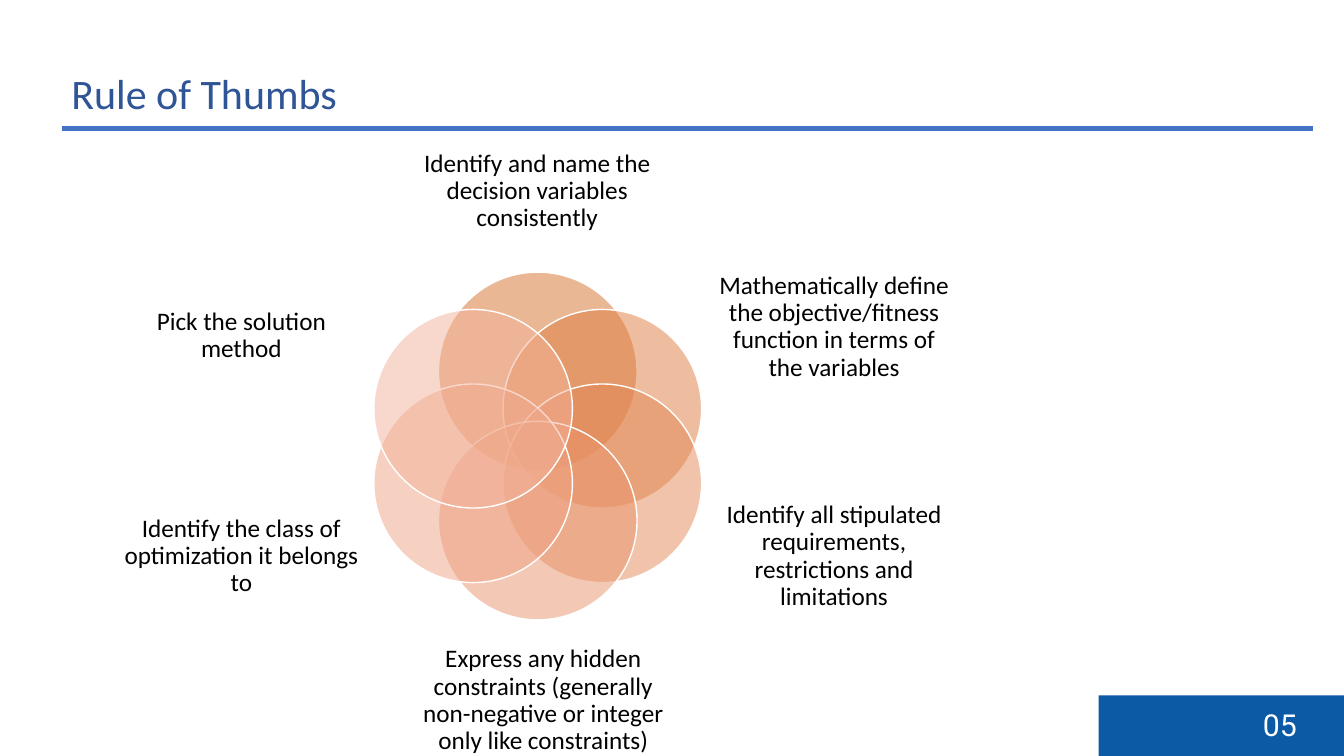
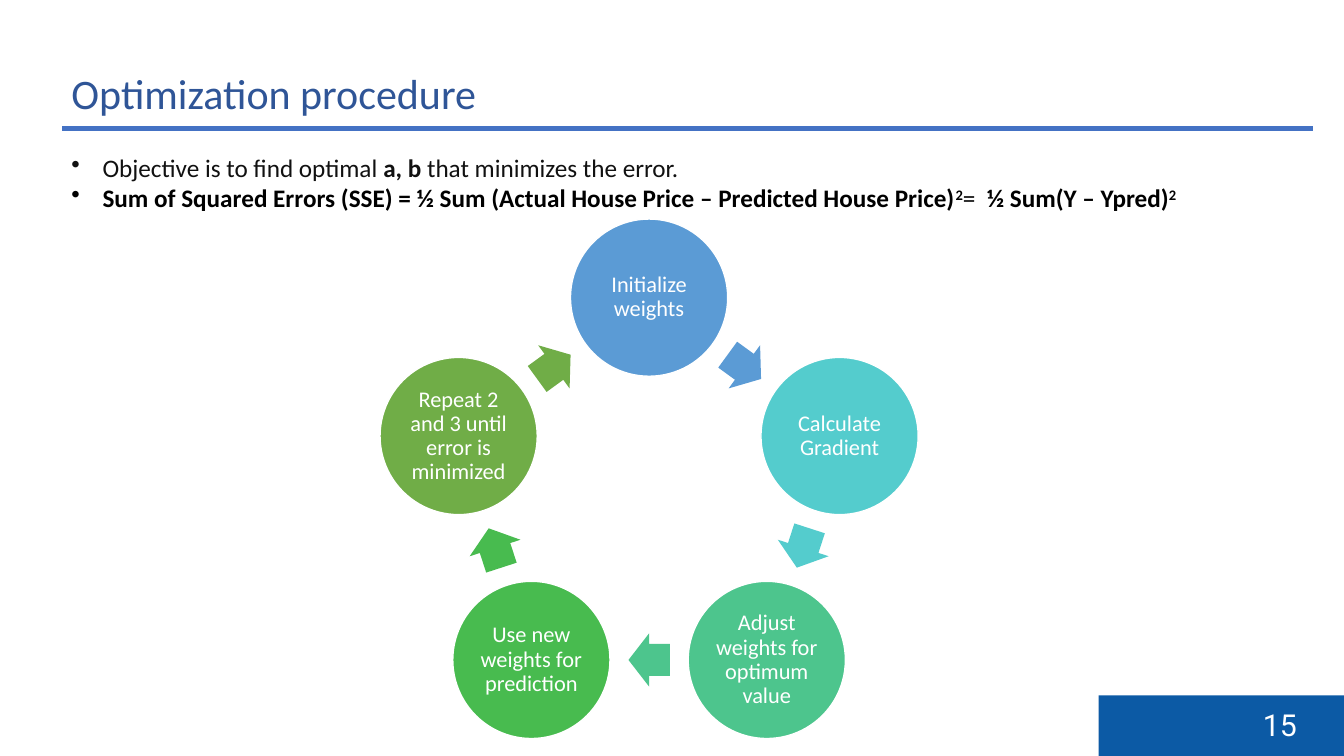
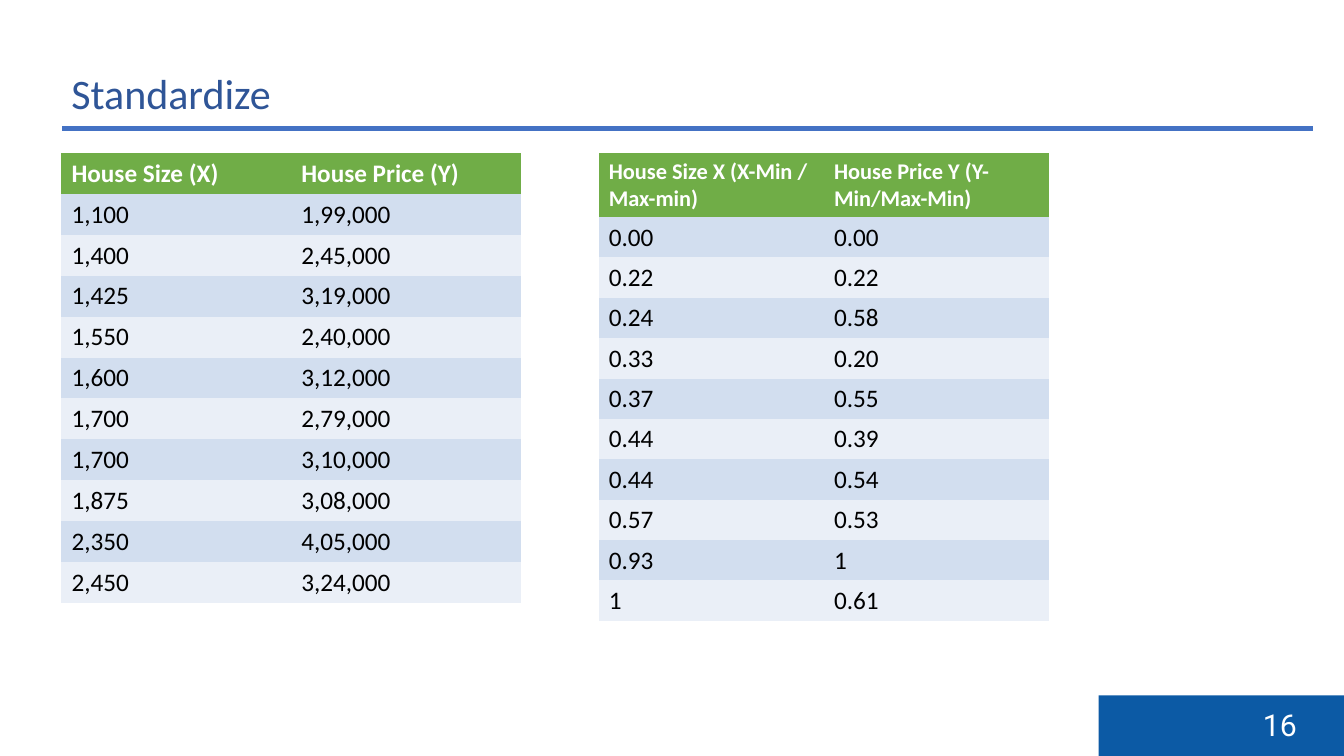
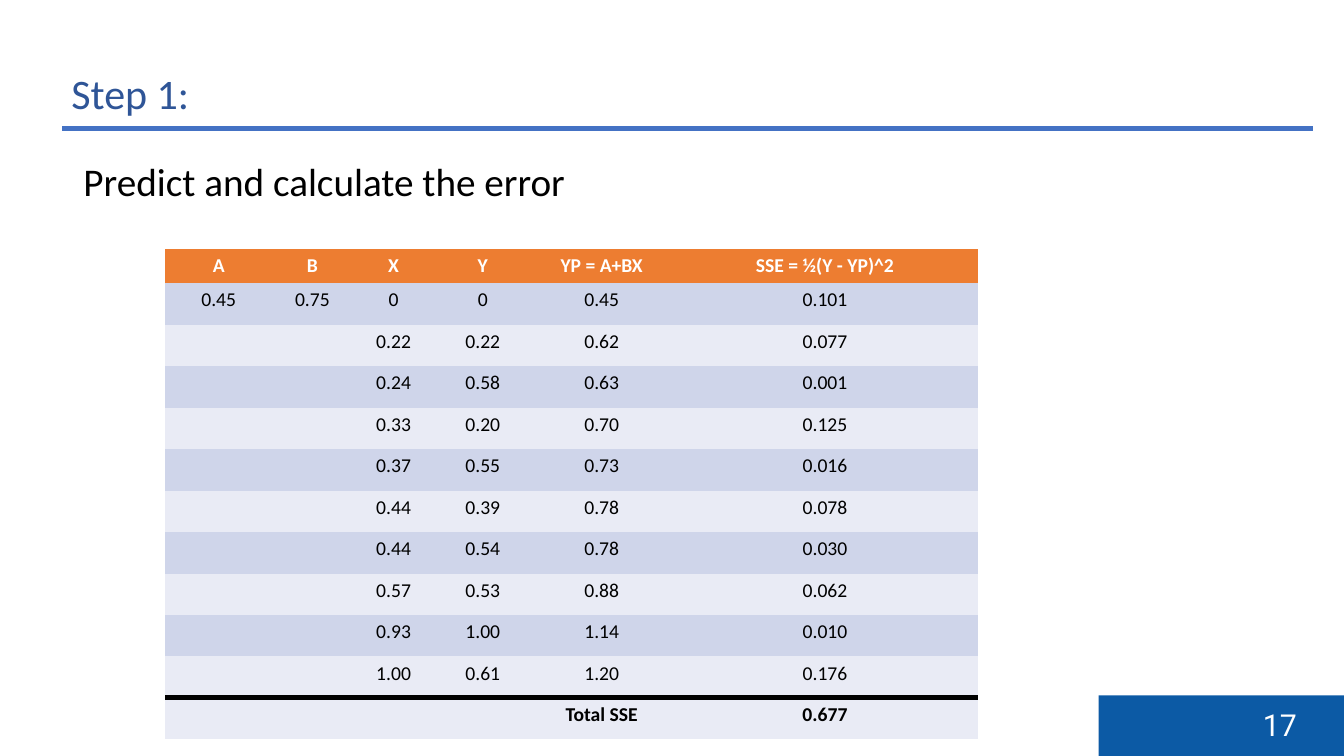
from collections import namedtuple
from math import cos, pi, sin

from lxml.etree import SubElement
from pptx import Presentation
from pptx.dml.color import RGBColor
from pptx.enum.shapes import MSO_SHAPE
from pptx.enum.text import MSO_ANCHOR, MSO_AUTO_SIZE, PP_ALIGN
from pptx.oxml import parse_xml
from pptx.oxml.ns import nsdecls, qn
from pptx.util import Inches, Pt

COLUMNS, ROWS = 160, 90
CELL = Inches(1) // 12
NO_GRID_STYLE = "{2D5ABB26-0587-4C30-8999-92F81FD0307C}"

COLORS = {
    "title": "2F5597", "rule": "4472C4", "band": "0C5AA5",
    "white": "FFFFFF", "black": "000000", "ink": "111111",
    "green": "70AD47", "orange": "ED7D31",
    "sky dark": "D2DEEF", "sky light": "EAEFF7",
    "lilac dark": "CFD5EA", "lilac light": "E9EBF5",
}
PETAL_COLORS = ["D7712C", "DE7C41", "E48857", "E9956D", "EEA384", "F3B39B"]
STAGE_COLORS = ["5B9BD5", "54CCCD", "4DC58D", "48BB4F", "70AD47"]

Box = namedtuple("Box", "left top width height")

RULES_OF_THUMB = [
    ("Identify and name the decision variables consistently",
     Box(34.44, 0, 29.52, 16.08)),
    ("Mathematically define the objective/fitness function in terms of the variables",
     Box(70.56, 15.36, 27.96, 17.64)),
    ("Identify all stipulated requirements, restrictions and limitations",
     Box(70.56, 41.64, 27.96, 19.68)),
    ("Express any hidden constraints (generally non-negative or integer only like constraints)",
     Box(35.16, 62.04, 29.52, 13.2)),
    ("Identify the class of optimization it belongs to",
     Box(0, 41.64, 27.96, 19.68)),
    ("Pick the solution method", Box(0, 15.36, 27.96, 19.68)),
]
STAGES = [
    "Initialize weights", "Calculate Gradient",
    "Adjust weights for optimum value", "Use new weights for prediction",
    "Repeat 2 and 3 until error is minimized",
]
STRONG = {"bold": True, "color": "black"}
RAISED = {**STRONG, "baseline": 30}
OBJECTIVE = [
    [("Objective is to find optimal ", {}), ("a, b", {"bold": True}),
     (" that minimizes the error.", {})],
    [("Sum of Squared Errors (SSE) = ½ Sum (Actual House Price – Predicted House Price)",
      STRONG), ("2", RAISED), ("= ", {"color": "black"}),
     (" ½ Sum(Y – Ypred)", STRONG), ("2", RAISED)],
]
HOUSES = [
    ("House Size (X)", "House Price (Y)"),
    ("1,100", "1,99,000"), ("1,400", "2,45,000"), ("1,425", "3,19,000"),
    ("1,550", "2,40,000"), ("1,600", "3,12,000"), ("1,700", "2,79,000"),
    ("1,700", "3,10,000"), ("1,875", "3,08,000"), ("2,350", "4,05,000"),
    ("2,450", "3,24,000"),
]
SCALED_HOUSES = [
    ("House Size X (X-Min / Max-min)", "House Price Y (Y-Min/Max-Min)"),
    ("0.00", "0.00"), ("0.22", "0.22"), ("0.24", "0.58"), ("0.33", "0.20"),
    ("0.37", "0.55"), ("0.44", "0.39"), ("0.44", "0.54"), ("0.57", "0.53"),
    ("0.93", "1"), ("1", "0.61"),
]
PREDICTIONS = [
    ("A", "B", "X", "Y", "YP = A+BX", "SSE = ½(Y - YP)^2"),
    ("0.45", "0.75", "0", "0", "0.45", "0.101"),
    ("", "", "0.22", "0.22", "0.62", "0.077"),
    ("", "", "0.24", "0.58", "0.63", "0.001"),
    ("", "", "0.33", "0.20", "0.70", "0.125"),
    ("", "", "0.37", "0.55", "0.73", "0.016"),
    ("", "", "0.44", "0.39", "0.78", "0.078"),
    ("", "", "0.44", "0.54", "0.78", "0.030"),
    ("", "", "0.57", "0.53", "0.88", "0.062"),
    ("", "", "0.93", "1.00", "1.14", "0.010"),
    ("", "", "1.00", "0.61", "1.20", "0.176"),
    ("", "", "", "", "Total SSE", "0.677"),
]


def rgb(color):
    """Turn a palette name or a hex string into a colour."""
    return RGBColor.from_string(COLORS.get(color, color))


def emu(box):
    """Turn a box in grid cells into slide lengths."""
    return [round(side * CELL) for side in box]


def centered(x, y, width, height):
    """Return the box of the given size around a centre."""
    return Box(x - width / 2, y - height / 2, width, height)


def orbit(box, radius, turn):
    """Return the point a share of a turn clockwise from the top."""
    return (box.left + box.width / 2 + radius * sin(2 * pi * turn),
            box.top + box.height / 2 - radius * cos(2 * pi * turn))


def write(frame, text, *, size=18, color="black", font="Calibri", bold=False,
          align=PP_ALIGN.LEFT, spacing=None, bullet=None):
    """Fill a text frame with a string or with paragraphs of formatted runs."""
    paragraphs = [[(text, {})]] if isinstance(text, str) else text
    for index, runs in enumerate(paragraphs):
        paragraph = frame.add_paragraph() if index else frame.paragraphs[0]
        if bullet:
            properties = paragraph._p.get_or_add_pPr()
            indent = round(Inches(0.31))
            properties.set("marL", str(indent))
            properties.set("indent", str(-indent))
            SubElement(properties, qn("a:buChar")).set("char", bullet)
        paragraph.alignment = align
        if spacing:
            paragraph.line_spacing = spacing
        for words, own in runs:
            run = paragraph.add_run()
            run.text = words
            run.font.size = Pt(size)
            run.font.name = font
            run.font.bold = own.get("bold", bold)
            run.font.color.rgb = rgb(own.get("color", color))
            if "baseline" in own:
                run._r.get_or_add_rPr().set("baseline", str(own["baseline"] * 1000))


def add_label(slide, box, text, *, wrap=True, inset=None,
              anchor=MSO_ANCHOR.TOP, **style):
    """Add a text box."""
    frame = slide.shapes.add_textbox(*emu(box)).text_frame
    frame.word_wrap = wrap
    frame.vertical_anchor = anchor
    if not wrap:
        frame.auto_size = MSO_AUTO_SIZE.SHAPE_TO_FIT_TEXT
    if inset is not None:
        set_insets(frame, inset)
    write(frame, text, **style)


def set_insets(frame, inset):
    """Give a text frame the same inset on all sides."""
    frame.margin_left = frame.margin_right = Inches(inset)
    frame.margin_top = frame.margin_bottom = Inches(inset)


def add_figure(slide, kind, box, fill, *, outlined=False, opacity=None):
    """Add a flat preset shape, with a thin white outline if asked."""
    figure = slide.shapes.add_shape(kind, *emu(box))
    figure.shadow.inherit = False
    figure.fill.solid()
    figure.fill.fore_color.rgb = rgb(fill)
    if opacity:
        tone = figure._element.spPr.find(qn("a:solidFill"))[0]
        SubElement(tone, qn("a:alpha")).set("val", str(opacity * 1000))
    if outlined:
        figure.line.color.rgb = rgb("white")
        figure.line.width = Pt(1)
    else:
        figure.line.fill.background()
    return figure


def add_page(deck, title, title_width, number):
    """Add a slide with its title, rule and numbered band."""
    slide = deck.slides.add_slide(deck.slide_layouts[6])
    add_figure(slide, MSO_SHAPE.RECTANGLE,
               Box(130.8, 82.8, COLUMNS - 130.8, ROWS - 82.8), "band")
    add_label(slide, Box(149.16, 83.52, 6.48, 5.52), number, wrap=False,
              size=21.6, font="Roboto", color="white")
    add_figure(slide, MSO_SHAPE.RECTANGLE, Box(7.32, 14.88, 149.04, 0.84),
               "rule", outlined=True)
    add_label(slide, Box(7.32, 7.44, title_width, 7.32), title, wrap=False,
              size=30, color="title")
    return slide


def add_petals(slide, box):
    """Draw overlapping circles around the middle of the box, with labels."""
    for index, (rule, place) in enumerate(RULES_OF_THUMB):
        x, y = orbit(box, 8.88, index / len(RULES_OF_THUMB))
        add_figure(slide, MSO_SHAPE.OVAL, centered(x, y, 23.64, 23.64),
                   PETAL_COLORS[index], outlined=True, opacity=50)
        label = place._replace(left=box.left + place.left, top=box.top + place.top)
        add_label(slide, label, rule, inset=0, anchor=MSO_ANCHOR.MIDDLE,
                  align=PP_ALIGN.CENTER, spacing=0.9)


def add_cycle(slide, box):
    """Draw a ring of stages in the box, with an arrow after each stage."""
    diameter = 18.72
    radius = (box.width - diameter) / 2
    step = 1 / len(STAGES)
    for index, (stage, color) in enumerate(zip(STAGES, STAGE_COLORS)):
        x, y = orbit(box, radius, index * step)
        circle = add_figure(slide, MSO_SHAPE.OVAL,
                            centered(x, y, diameter, diameter), color, outlined=True)
        frame = circle.text_frame
        frame.word_wrap = True
        frame.vertical_anchor = MSO_ANCHOR.MIDDLE
        set_insets(frame, 0.02)
        write(frame, stage, size=16, color="white", align=PP_ALIGN.CENTER,
              spacing=0.9)
        halfway = (index + 0.5) * step
        x, y = orbit(box, radius * cos(pi * step), halfway)
        arrow = add_figure(slide, MSO_SHAPE.RIGHT_ARROW,
                           centered(x, y, 4.92, 6.36), color)
        arrow.adjustments[0], arrow.adjustments[1] = 0.6, 0.5
        arrow.rotation = 360 * halfway


def add_grid(slide, left, top, rows, widths, *, head_height, row_height, head,
             bands, size=18, head_size=None, align=PP_ALIGN.LEFT, total=False):
    """Add a banded table, whose last row may be a ruled total."""
    heights = [head_height] + [row_height] * (len(rows) - 1)
    box = Box(left, top, sum(widths), sum(heights))
    table = slide.shapes.add_table(len(rows), len(widths), *emu(box)).table
    table._tbl.tblPr.find(qn("a:tableStyleId")).text = NO_GRID_STYLE
    table.first_row = table.horz_banding = False
    for column, width in zip(table.columns, widths):
        column.width = round(width * CELL)
    for index, (values, height) in enumerate(zip(rows, heights)):
        table.rows[index].height = round(height * CELL)
        is_head = index == 0
        is_total = total and index == len(rows) - 1
        band = head if is_head else bands[1 if is_total else (index - 1) % 2]
        for position, value in enumerate(values):
            cell = table.cell(index, position)
            cell.fill.solid()
            cell.fill.fore_color.rgb = rgb(band)
            if value:
                write(cell.text_frame, value, align=align,
                      size=head_size if is_head and head_size else size,
                      color="white" if is_head else "black",
                      bold=is_head or is_total)
            if is_total:
                rule_above(cell)


def rule_above(cell):
    """Draw a heavy black line along the top of a cell."""
    cell._tc.get_or_add_tcPr().insert(0, parse_xml(
        f'<a:lnT {nsdecls("a")} w="{Pt(4)}"><a:solidFill>'
        f'<a:srgbClr val="{COLORS["black"]}"/></a:solidFill></a:lnT>'))


def main():
    """Build the slides and save them."""
    deck = Presentation()
    deck.slide_width, deck.slide_height = COLUMNS * CELL, ROWS * CELL

    thumbs = add_page(deck, "Rule of Thumbs", 34.32, "05")
    add_petals(thumbs, Box(14.76, 14.76, 98.52, 76.68))

    procedure = add_page(deck, "Optimization procedure", 51.12, "15")
    add_label(procedure, Box(7.32, 17.52, 137.64, 8.52), OBJECTIVE,
              color="ink", bullet="•")
    add_cycle(procedure, Box(44.08, 26.08, 66.4, 66.4))

    standardize = add_page(deck, "Standardize", 26.4, "16")
    house_style = {"head": "green", "bands": ("sky dark", "sky light")}
    add_grid(standardize, 7.32, 18.24, HOUSES, [27.36] * 2,
             head_height=4.87, row_height=4.87, **house_style)
    add_grid(standardize, 71.28, 18.24, SCALED_HOUSES, [26.82] * 2,
             head_height=7.2, row_height=4.72, head_size=16, **house_style)

    first_step = add_page(deck, "Step 1:", 16.56, "17")
    add_label(first_step, Box(8.76, 18.12, 139.2, 6.84),
              "Predict and calculate the error", size=28)
    add_grid(first_step, 19.68, 29.64, PREDICTIONS,
             [12.72, 9.6, 9.72, 11.52, 16.8, 36.36],
             head_height=4.08, row_height=4.94, head="orange",
             bands=("lilac dark", "lilac light"), size=14,
             align=PP_ALIGN.CENTER, total=True)

    deck.save("out.pptx")


if __name__ == "__main__":
    main()
